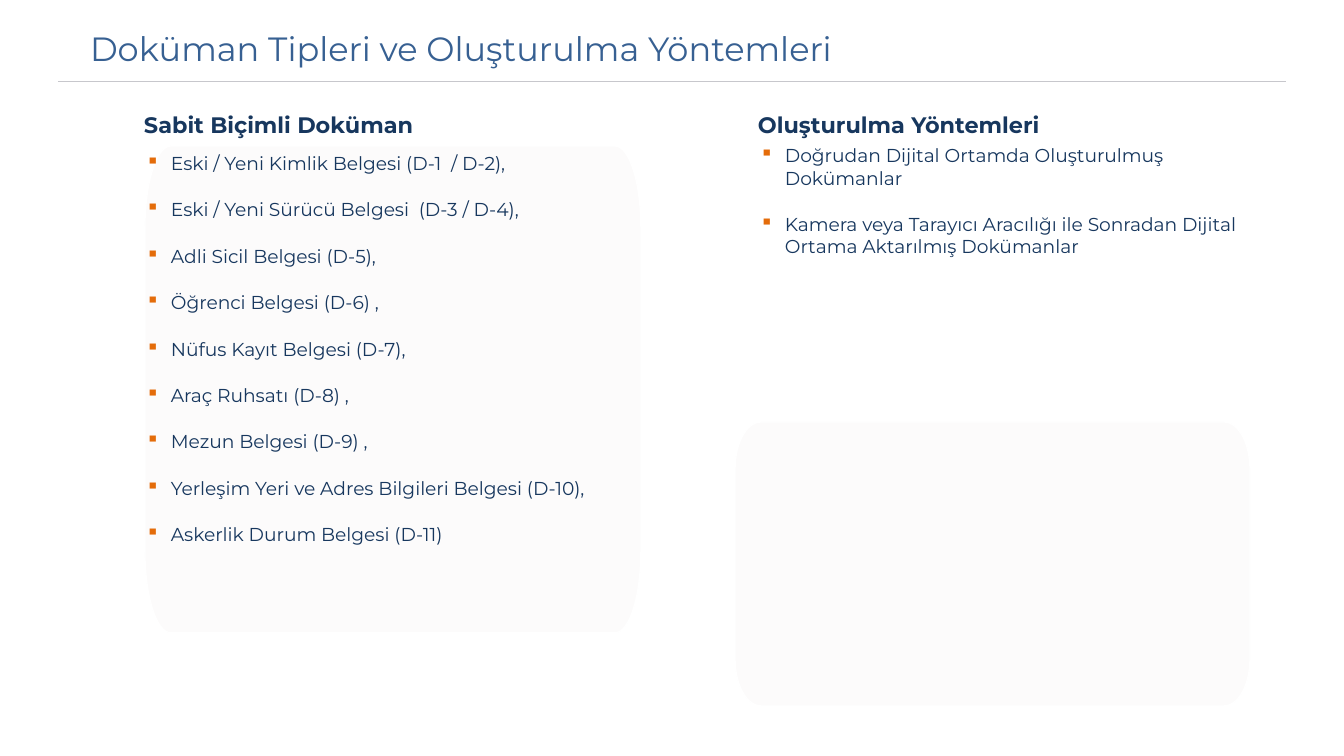
from dataclasses import dataclass
from math import cos, radians, sin

from lxml.etree import SubElement
from pptx import Presentation
from pptx.dml.color import RGBColor
from pptx.enum.shapes import MSO_CONNECTOR
from pptx.oxml.ns import qn
from pptx.slide import Slide
from pptx.text.text import _Paragraph
from pptx.util import Emu, Pt

EMU_PER_PX = 914400 / 134.4
NAVY = RGBColor(0x17, 0x37, 0x5E)
BLUE = RGBColor(0x37, 0x60, 0x92)
ORANGE = RGBColor(0xE4, 0x6C, 0x0A)
MAUVE = RGBColor(0xBF, 0x81, 0x9E)
GREY = RGBColor(0xC7, 0xC7, 0xCC)
WHITE = RGBColor(0xFF, 0xFF, 0xFF)

TITLE_FORMAT = {"size": Pt(18), "bold": False, "color": BLUE}
HEADING_FORMAT = {"size": Pt(12), "bold": True, "color": NAVY}
ITEM_FORMAT = {"size": Pt(10), "bold": False, "color": NAVY}


def px(length: float) -> Emu:
    return Emu(round(length * EMU_PER_PX))


@dataclass(frozen=True)
class Area:
    left: int
    top: int
    width: int
    height: int

    def emu(self) -> list[Emu]:
        return [px(v) for v in (self.left, self.top, self.width, self.height)]


@dataclass(frozen=True)
class Column:
    heading: str
    heading_area: Area
    items: tuple[str, ...]
    items_area: Area
    panel_area: Area
    corner_height: int


COLUMNS = (
    Column(
        "Sabit Biçimli Doküman", Area(132, 105, 340, 39),
        (
            "Eski / Yeni Kimlik Belgesi (D-1  / D-2),",
            "Eski / Yeni Sürücü Belgesi  (D-3 / D-4),",
            "Adli Sicil Belgesi (D-5),",
            "Öğrenci Belgesi (D-6) ,",
            "Nüfus Kayıt Belgesi (D-7),",
            "Araç Ruhsatı (D-8) ,",
            "Mezun Belgesi (D-9) ,",
            "Yerleşim Yeri ve Adres Bilgileri Belgesi (D-10),",
            "Askerlik Durum Belgesi (D-11)",
        ),
        Area(132, 152, 505, 512), Area(145, 146, 496, 487), 81,
    ),
    Column(
        "Oluşturulma Yöntemleri", Area(746, 105, 372, 39),
        (
            "Doğrudan Dijital Ortamda Oluşturulmuş Dokümanlar",
            "Kamera veya Tarayıcı Aracılığı ile Sonradan Dijital Ortama "
            "Aktarılmış Dokümanlar",
        ),
        Area(746, 144, 505, 192), Area(735, 422, 515, 284), 47,
    ),
)
CORNER_WIDTH = 26


def add_bullet(para: _Paragraph) -> None:
    para.space_before = Pt(12.8)
    properties = para._p.get_or_add_pPr()
    properties.set("marL", str(px(39)))
    properties.set("indent", str(px(-25)))
    color = SubElement(properties, qn("a:buClr"))
    SubElement(color, qn("a:srgbClr"), val=str(ORANGE))
    SubElement(properties, qn("a:buChar"), char="▪")


def add_text(page: Slide, area: Area, lines: tuple[str, ...], style: dict,
             inset: tuple[int, int] = (0, 0), bulleted: bool = False) -> None:
    frame = page.shapes.add_textbox(*area.emu()).text_frame
    frame.word_wrap = True
    frame.margin_left = frame.margin_right = px(inset[0])
    frame.margin_top = frame.margin_bottom = px(inset[1])
    for index, line in enumerate(lines):
        para = frame.add_paragraph() if index else frame.paragraphs[0]
        if bulleted:
            add_bullet(para)
        span = para.add_run()
        span.text = line
        span.font.name = "Montserrat"
        for name, value in style.items():
            if name == "color":
                span.font.color.rgb = value
            else:
                setattr(span.font, name, value)


def add_panel(page: Slide, area: Area, corner_height: int) -> None:
    """Draw a box whose corners are quarter ellipses."""
    left, right = area.left + CORNER_WIDTH, area.left + area.width - CORNER_WIDTH
    top = area.top + corner_height
    bottom = area.top + area.height - corner_height
    centers = ((right, bottom), (left, bottom), (left, top), (right, top))
    points = [
        (px(x + CORNER_WIDTH * cos(radians(angle))),
         px(y + corner_height * sin(radians(angle))))
        for quarter, (x, y) in enumerate(centers)
        for angle in range(quarter * 90, quarter * 90 + 91, 6)
    ]
    builder = page.shapes.build_freeform(*points[0], scale=1.0)
    builder.add_line_segments(points[1:], close=True)
    panel = builder.convert_to_shape()
    panel.shadow.inherit = False
    panel.fill.solid()
    panel.fill.fore_color.rgb = MAUVE
    color = panel._element.spPr.find(qn("a:solidFill")).find(qn("a:srgbClr"))
    SubElement(color, qn("a:alpha"), val="3000")
    panel.line.color.rgb = WHITE
    panel.line.width = Pt(0.75)


def add_rule(page: Slide, left: int, right: int, y: int) -> None:
    rule = page.shapes.add_connector(
        MSO_CONNECTOR.STRAIGHT, px(left), px(y), px(right), px(y))
    rule.line.color.rgb = GREY
    rule.line.width = Pt(0.5)
    SubElement(rule._element.spPr, qn("a:effectLst"))


def main() -> None:
    deck = Presentation()
    deck.slide_width, deck.slide_height = px(1344), px(756)
    page = deck.slides.add_slide(deck.slide_layouts[6])

    # Two columns: panel, heading and bulleted list
    for column in COLUMNS:
        add_panel(page, column.panel_area, column.corner_height)
        add_text(page, column.heading_area, (column.heading,), HEADING_FORMAT,
                 inset=(12, 6))
        add_text(page, column.items_area, column.items, ITEM_FORMAT, bulleted=True)

    # Title with the rule below it
    add_rule(page, 58, 1286, 82)
    add_text(page, Area(90, 28, 1196, 40),
             ("Doküman Tipleri ve Oluşturulma Yöntemleri",), TITLE_FORMAT)

    deck.save("out.pptx")


if __name__ == "__main__":
    main()
